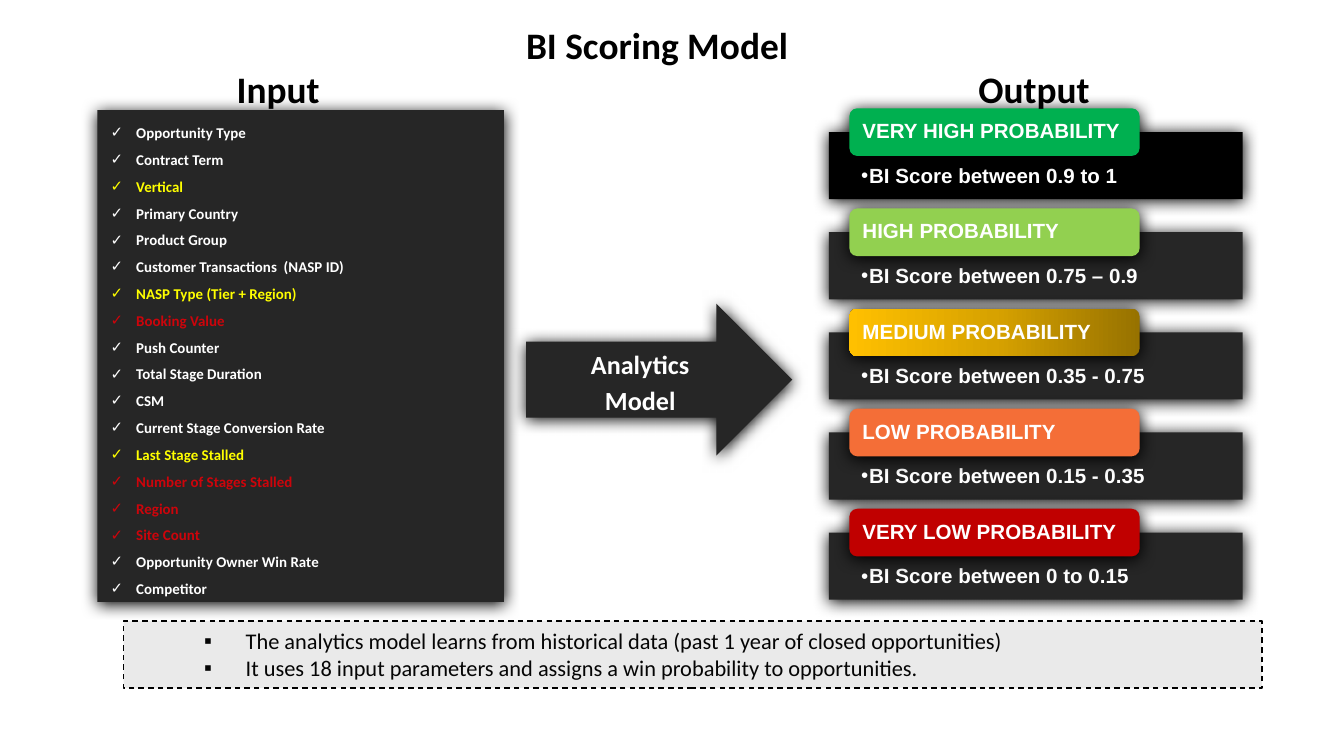
from copy import deepcopy

from pptx import Presentation
from pptx.dml.color import RGBColor
from pptx.enum import dml, shapes, text
from pptx.oxml import parse_xml
from pptx.oxml.ns import nsdecls, qn
from pptx.util import Inches, Pt

COLS, ROWS = 100, 56.25
CELL = Inches(0.1)
TOP, MIDDLE = text.MSO_ANCHOR.TOP, text.MSO_ANCHOR.MIDDLE
LEFT, CENTER = text.PP_ALIGN.LEFT, text.PP_ALIGN.CENTER
RECT = shapes.MSO_SHAPE.RECTANGLE
HEADING = dict(align=CENTER, spacing=1.15, after=10)


class Theme:
    heading_font, score_font = "Calibri", "Arial"
    heading, arrow, note, score, item = 20, 14, 12, 11, 8
    white, black, panel = "FFFFFF", "000000", "262626"
    yellow, red = "FFFF00", "CD040B"
    note_fill, note_text = "EAEAEA", "050505"
    green, lime, orange, crimson = "00B050", "92D050", "F46E37", "C00000"
    amber = [(0, "977200"), (0.5, "D7A200"), (1, "FFC000")]


def add_box(kind, left, top, width, height, fill, anchor, shadow=True):
    """Draw a filled shape, placed in grid cells, with or without a soft shadow."""
    s = slide.shapes.add_shape(kind, *(round(n * CELL) for n in (left, top, width, height)))
    s.line.fill.background()
    s.shadow.inherit = False
    if shadow:
        s._element.spPr.find(qn("a:effectLst")).append(parse_xml(
            f'<a:outerShdw {nsdecls("a")} blurRad="{Pt(8.5)}" dist="{Pt(1)}" dir="5400000" '
            f'algn="ctr" rotWithShape="0"><a:srgbClr val="{Theme.black}"/></a:outerShdw>'))
    if isinstance(fill, list):
        s.fill.gradient()
        s.fill.gradient_angle = 180
        stops = s._element.spPr.find(".//" + qn("a:gsLst"))
        stops.insert(1, deepcopy(stops[0]))
        for stop, (position, color) in zip(s.fill.gradient_stops, fill):
            stop.position, stop.color.rgb = position, RGBColor.from_string(color)
    else:
        s.fill.solid()
        s.fill.fore_color.rgb = RGBColor.from_string(fill)
    s.text_frame.word_wrap = True
    s.text_frame.vertical_anchor = anchor
    return s


def write(tf, lines, font, size, color, bold=True, align=LEFT,
          spacing=1.0, after=0, bullet=None, margin=0, hang=0):
    """Add one paragraph; a line break parts its lines, margin and hang are inches."""
    p = tf.add_paragraph() if tf.paragraphs[0].runs else tf.paragraphs[0]
    p.alignment = align
    p.line_spacing, p.space_before, p.space_after = spacing, Pt(0), Pt(after)
    for n, line in enumerate(lines.split("\n")):
        if n:
            p.add_line_break()
        r = p.add_run()
        r.text = line
        r.font.name, r.font.size, r.font.bold = font, Pt(size), bold
        r.font.color.rgb = RGBColor.from_string(color)
    if bullet:
        pPr = p._p.get_or_add_pPr()
        pPr.set("marL", str(Inches(margin)))
        pPr.set("indent", str(-Inches(hang)))
        pPr.append(parse_xml(f'<a:buFont {nsdecls("a")} typeface="{Theme.score_font}"/>'))
        pPr.append(parse_xml(f'<a:buChar {nsdecls("a")} char="{bullet}"/>'))


prs = Presentation()
prs.slide_width, prs.slide_height = round(COLS * CELL), round(ROWS * CELL)
slide = prs.slides.add_slide(prs.slide_layouts[5])

# Title
title = slide.shapes.title
title.left, title.top, title.width, title.height = (
    round(n * CELL) for n in (9.2, 0.65, 79.4, 7.3))
title.fill.solid()
title.fill.fore_color.rgb = RGBColor.from_string(Theme.white)
title.text_frame.vertical_anchor = TOP
title.text_frame.auto_size = text.MSO_AUTO_SIZE.NONE
write(title.text_frame, "BI Scoring Model", Theme.heading_font, Theme.heading,
      Theme.black, **HEADING)

# Input parameters
inputs = [
    ("Opportunity Type", Theme.white),
    ("Contract Term", Theme.white),
    ("Vertical", Theme.yellow),
    ("Primary Country", Theme.white),
    ("Product Group", Theme.white),
    ("Customer Transactions  (NASP ID)", Theme.white),
    ("NASP Type (Tier + Region)", Theme.yellow),
    ("Booking Value", Theme.red),
    ("Push Counter", Theme.white),
    ("Total Stage Duration", Theme.white),
    ("CSM", Theme.white),
    ("Current Stage Conversion Rate", Theme.white),
    ("Last Stage Stalled", Theme.yellow),
    ("Number of Stages Stalled", Theme.red),
    ("Region", Theme.red),
    ("Site Count", Theme.red),
    ("Opportunity Owner Win Rate", Theme.white),
    ("Competitor", Theme.white),
]
panel = add_box(RECT, 7.25, 8.2, 30.25, 36.6, Theme.panel, MIDDLE)
for name, color in inputs:
    write(panel.text_frame, name, Theme.heading_font, Theme.item, color,
          spacing=1.5, bullet="✓", margin=0.19, hang=0.19)

# Output bands: a score bar with a probability tag over its top edge
bands = [
    ("VERY HIGH PROBABILITY", "0.9 to 1", Theme.green, Theme.black),
    ("HIGH PROBABILITY", "0.75 – 0.9", Theme.lime, Theme.panel),
    ("MEDIUM PROBABILITY", "0.35 - 0.75", Theme.amber, Theme.panel),
    ("LOW PROBABILITY", "0.15 - 0.35", Theme.orange, Theme.panel),
    ("VERY LOW PROBABILITY", "0 to 0.15", Theme.crimson, Theme.panel),
]
for row, (level, scores, tag_fill, bar_fill) in enumerate(bands):
    top = 9.83 + row * 7.45
    bar = add_box(RECT, 61.67, top, 30.8, 5, bar_fill, TOP)
    tf = bar.text_frame
    tf.margin_left = tf.margin_right = Inches(0.24)
    tf.margin_top, tf.margin_bottom = Inches(0.25), Inches(0.09)
    write(tf, f"BI Score between {scores}", Theme.score_font, Theme.score, Theme.white,
          spacing=0.9, bullet="•", margin=0.06, hang=0.06)
    tag = add_box(shapes.MSO_SHAPE.ROUNDED_RECTANGLE, 63.2, top - 1.77, 21.6, 3.55,
                  tag_fill, MIDDLE)
    tf = tag.text_frame
    tf.margin_left = tf.margin_right = Inches(0.08)
    tf.margin_top = tf.margin_bottom = 0
    write(tf, level, Theme.score_font, Theme.score, Theme.white, spacing=0.9)

# Model arrow
arrow = add_box(shapes.MSO_SHAPE.RIGHT_ARROW, 39.15, 22.6, 19.8, 11.3, Theme.panel, MIDDLE)
write(arrow.text_frame, "Analytics\nModel", Theme.heading_font, Theme.arrow, Theme.white,
      **HEADING)

# Column headings
for name, left, width, height in [("Input", 15.8, 9.8, 2.8), ("Output", 70.6, 12.7, 3.1)]:
    label = add_box(RECT, left, 3.95, width, height, Theme.white, TOP, shadow=False)
    write(label.text_frame, name, Theme.heading_font, Theme.heading, Theme.black, **HEADING)

# Footnote
note = add_box(RECT, 9.2, 46.2, 84.7, 5, Theme.note_fill, TOP, shadow=False)
note.line.color.rgb = RGBColor.from_string(Theme.black)
note.line.width = Pt(0.75)
note.line.dash_style = dml.MSO_LINE.DASH
note.text_frame.auto_size = text.MSO_AUTO_SIZE.SHAPE_TO_FIT_TEXT
for line in [
    "The analytics model learns from historical data (past 1 year of closed opportunities)",
    "It uses 18 input parameters and assigns a win probability to opportunities.",
]:
    write(note.text_frame, line, Theme.heading_font, Theme.note, Theme.note_text,
          bold=False, bullet="▪", margin=0.81, hang=0.31)

prs.save("out.pptx")
